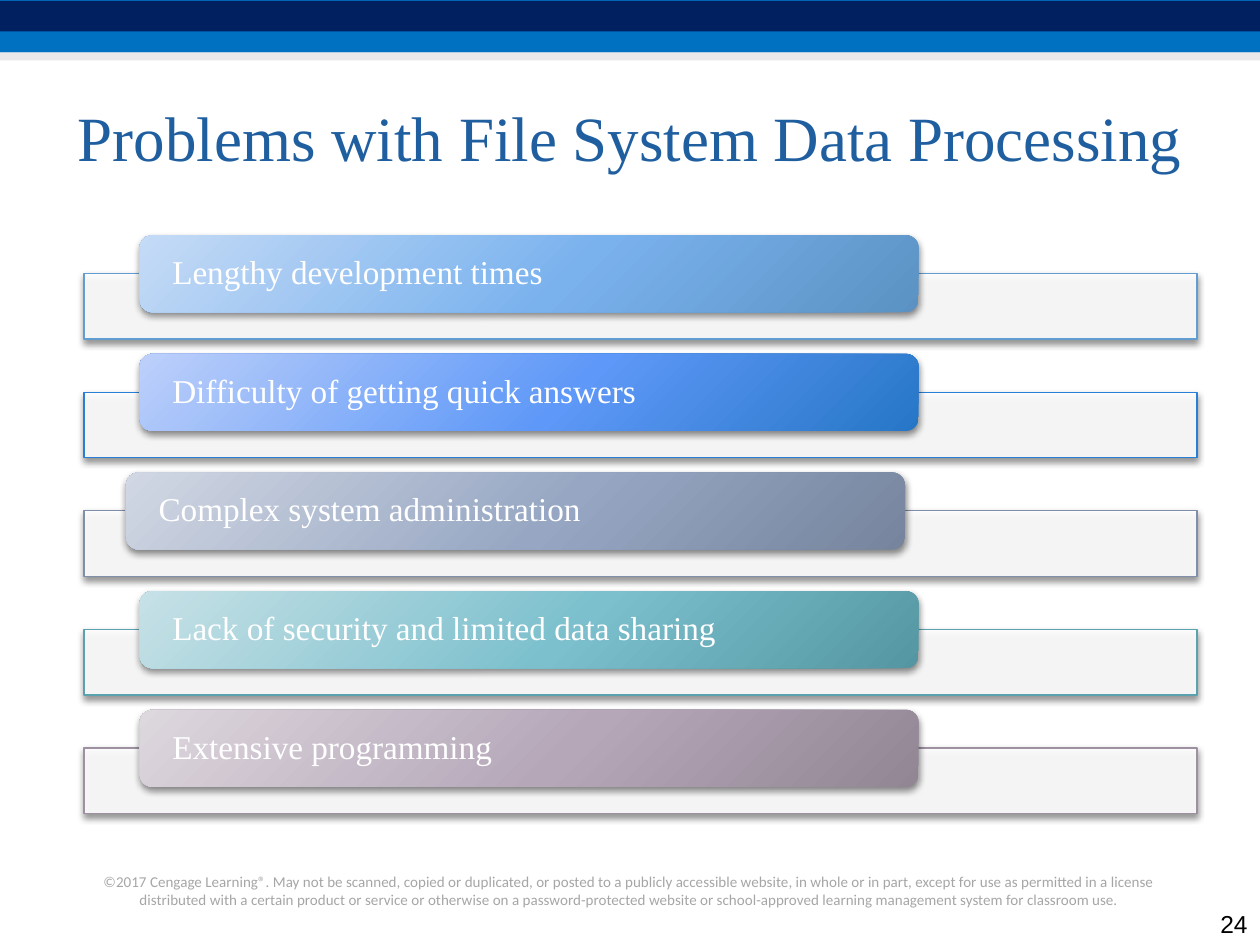
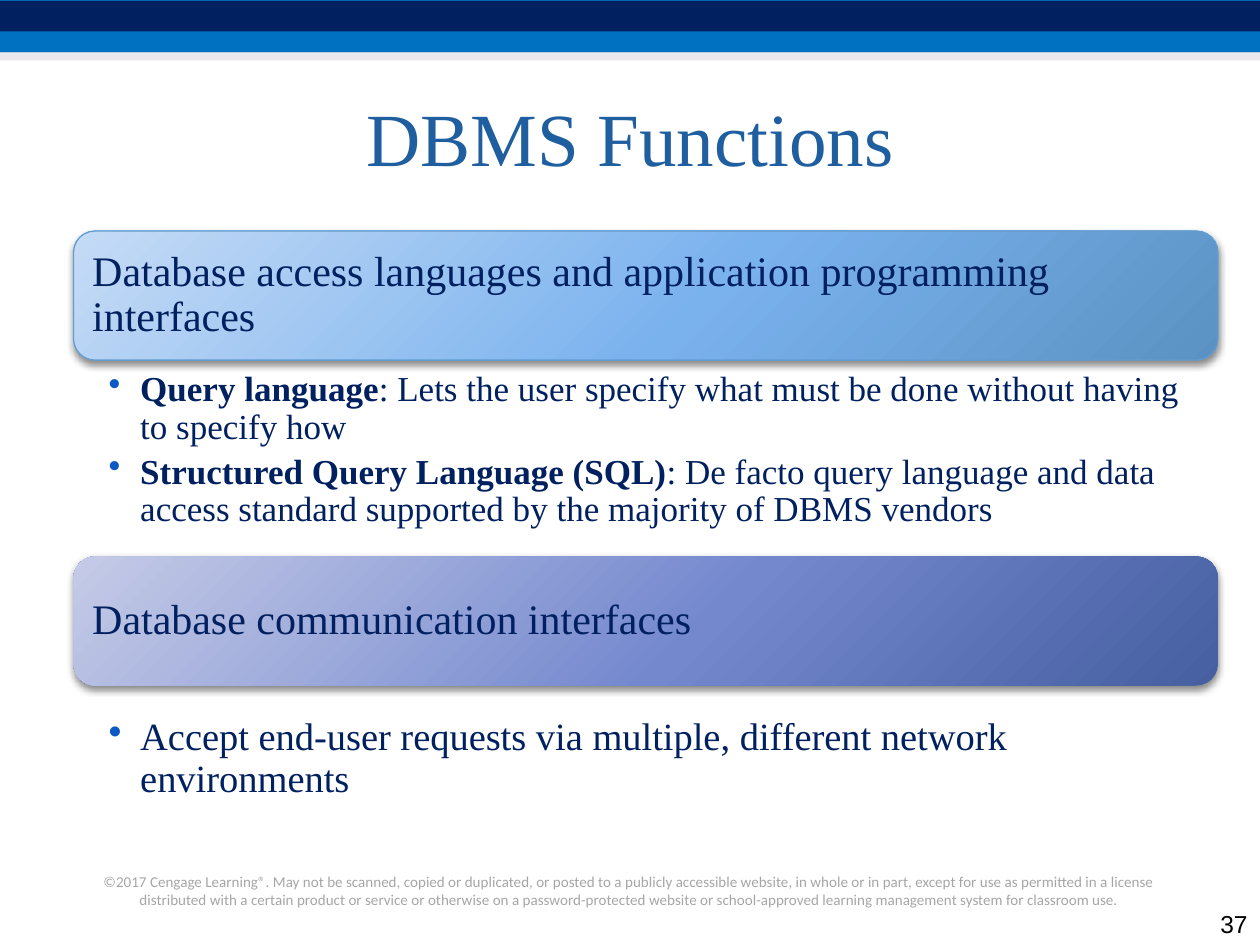
from pptx import Presentation
from pptx.dml.color import RGBColor
from pptx.enum.shapes import MSO_SHAPE
from pptx.enum.text import MSO_ANCHOR, PP_ALIGN
from pptx.oxml import parse_xml
from pptx.oxml.ns import nsdecls, qn
from pptx.util import Inches, Pt

COLORS = {
    "navy": "002060", "blue": "0070C0", "strip": "D8D3D9", "title": "1F5FA0",
    "bullet": "0E58C4", "footer": "A6A6A6", "white": "FFFFFF", "black": "000000",
    "sky edge": "629DD1", "azure edge": "297FD5", "slate edge": "7F8FA9",
    "teal edge": "5AA2AE", "mauve edge": "9D90A0",
}
GRADIENTS = {
    "sky": ("C5DBF6", "7AB2EE", "5B92C3"),
    "azure": ("BDD0FA", "5E98F8", "2676C6"),
    "slate": ("D1D7E3", "97A7C3", "76859D"),
    "teal": ("C7E1E7", "7CC0CD", "5497A2"),
    "mauve": ("DDD7DE", "B5A7B8", "928695"),
    "indigo": ("C5CBE7", "7488CE", "455FA0"),
}
SERIF = "Times New Roman"
COPYRIGHT = (
    "©2017 Cengage Learning®. May not be scanned, copied or duplicated, or posted to a "
    "publicly accessible website, in whole or in part, except for use as permitted in a "
    "license distributed with a certain product or service or otherwise on a "
    "password-protected website or school-approved learning management system for "
    "classroom use."
)

deck = Presentation()
deck.slide_width, deck.slide_height = Inches(10), Inches(7.5)
CELL = deck.slide_width / 120  # the slide is a grid of 120 columns by 90 rows


def write(holder, text, size, color, font=SERIF, align=PP_ALIGN.LEFT,
          anchor=MSO_ANCHOR.TOP, insets=(0.1, 0.05, 0.1, 0.05), spacing=None,
          after=0, bulleted=False):
    """Put text in a shape: one paragraph a line, **bold** between asterisks."""
    frame = holder.text_frame
    frame.word_wrap = True
    frame.vertical_anchor = anchor
    (frame.margin_left, frame.margin_top,
     frame.margin_right, frame.margin_bottom) = map(Inches, insets)
    for number, line in enumerate(text.split("\n")):
        paragraph = frame.add_paragraph() if number else frame.paragraphs[0]
        if bulleted:
            properties = paragraph._p.get_or_add_pPr()
            properties.set("marL", str(Inches(0.25)))
            properties.set("indent", str(-Inches(0.25)))
            properties.append(parse_xml(
                f'<a:buClr {nsdecls("a")}><a:srgbClr val="{COLORS["bullet"]}"/></a:buClr>'))
            properties.append(parse_xml(f'<a:buChar {nsdecls("a")} char="•"/>'))
        paragraph.alignment = align
        paragraph.line_spacing = spacing
        paragraph.space_after = Pt(after)
        for part, piece in enumerate(line.split("**")):
            if piece:
                run = paragraph.add_run()
                run.text = piece
                run.font.name = font
                run.font.size = Pt(size)
                run.font.bold = part % 2 == 1
                run.font.color.rgb = RGBColor.from_string(COLORS[color])


def add_panel(slide, kind, cells, fill, edge=None, opacity=100, shadow=True):
    """Add a shape placed in grid cells; fill names a gradient or a colour."""
    panel = slide.shapes.add_shape(kind, *(round(n * CELL) for n in cells))
    properties = panel._element.spPr
    if fill in GRADIENTS:
        panel.fill.background()
        stops = "".join(
            f'<a:gs pos="{share}000"><a:srgbClr val="{value}"/></a:gs>'
            for share, value in zip((0, 55, 100), GRADIENTS[fill]))
        properties.replace(properties.find(qn("a:noFill")), parse_xml(
            f'<a:gradFill {nsdecls("a")} rotWithShape="1"><a:gsLst>{stops}</a:gsLst>'
            '<a:path path="circle"><a:fillToRect l="-40000" t="-90000" '
            'r="140000" b="190000"/></a:path></a:gradFill>'))
    else:
        panel.fill.solid()
        panel.fill.fore_color.rgb = RGBColor.from_string(COLORS[fill])
        if opacity < 100:
            properties.find(qn("a:solidFill"))[0].append(
                parse_xml(f'<a:alpha {nsdecls("a")} val="{opacity}000"/>'))
    if edge:
        panel.line.color.rgb = RGBColor.from_string(COLORS[edge])
        panel.line.width = Pt(0.75)
    else:
        panel.line.fill.background()
    panel.shadow.inherit = False
    if shadow:
        properties.find(qn("a:effectLst")).append(parse_xml(
            f'<a:outerShdw {nsdecls("a")} blurRad="{Pt(4)}" dist="{Pt(2)}" '
            f'dir="5400000" rotWithShape="0"><a:srgbClr val="{COLORS["black"]}">'
            '<a:alpha val="45000"/></a:srgbClr></a:outerShdw>'))
    return panel


# Bands, footer, title and number on both slides
slides = []
for title, title_size, number in (
    ("Problems with File System Data Processing", 36, "24"),
    ("DBMS Functions", 42.9, "37"),
):
    slide = deck.slides.add_slide(deck.slide_layouts[6])
    slides.append(slide)
    for top, height, color, opacity in (
        (0, 5, "blue", 100), (0.1, 2.9, "navy", 100), (5, 0.75, "strip", 50),
    ):
        add_panel(slide, MSO_SHAPE.RECTANGLE, (0, top, 120, height), color,
                  opacity=opacity, shadow=False)
    for cells, text, look in (
        ((7, 82.5, 106, 4.7), COPYRIGHT,
         dict(size=8.6, color="footer", font="Calibri", align=PP_ALIGN.CENTER)),
        ((6, 6, 108, 14), title,
         dict(size=title_size, color="title", align=PP_ALIGN.CENTER,
              anchor=MSO_ANCHOR.MIDDLE)),
        ((114, 86, 6, 4), number,
         dict(size=14, color="black", font="Arial", align=PP_ALIGN.RIGHT,
              anchor=MSO_ANCHOR.BOTTOM)),
    ):
        write(slide.shapes.add_textbox(*(round(n * CELL) for n in cells)), text, **look)

problems_slide, functions_slide = slides

# Problems: a pale bar with a coloured label overlapping its top edge
problems = (
    ("Lengthy development times", "sky", 13.3),
    ("Difficulty of getting quick answers", "azure", 13.3),
    ("Complex system administration", "slate", 12),
    ("Lack of security and limited data sharing", "teal", 13.3),
    ("Extensive programming", "mauve", 13.3),
)
for row, (problem, hue, left) in enumerate(problems):
    bar_top = 26.05 + row * 11.3
    add_panel(problems_slide, MSO_SHAPE.RECTANGLE, (8, bar_top, 106, 6.25), "white",
              edge=f"{hue} edge", opacity=90)
    label = add_panel(problems_slide, MSO_SHAPE.ROUNDED_RECTANGLE,
                      (left, bar_top - 3.65, 74.2, 7.35), hue)
    write(label, problem, 19, "white", anchor=MSO_ANCHOR.MIDDLE,
          insets=(0.23, 0, 0.23, 0), spacing=0.9)

# Functions: a heading panel with its bullets below
functions = (
    ("Database access languages and application programming interfaces", "sky",
     "sky edge", 22, 35, 19, 20,
     "**Query language**: Lets the user specify what must be done without having "
     "to specify how\n"
     "**Structured Query Language (SQL)**: De facto query language and data access "
     "standard supported by the majority of DBMS vendors"),
    ("Database communication interfaces", "indigo", None, 53, 68, 10.9, 22,
     "Accept end-user requests via multiple, different network environments"),
)
for heading, hue, edge, top, details_top, details_height, size, details in functions:
    panel = add_panel(functions_slide, MSO_SHAPE.ROUNDED_RECTANGLE,
                      (7, top, 109, 12.3), hue, edge=edge)
    write(panel, heading, 24, "navy", anchor=MSO_ANCHOR.MIDDLE,
          insets=(0.1, 0.1, 0.1, 0.1), spacing=0.9)
    details_box = functions_slide.shapes.add_textbox(
        *(round(n * CELL) for n in (7, details_top, 109, details_height)))
    write(details_box, details, size, "navy", insets=(0.28, 0.03, 0.17, 0.03),
          spacing=0.9, after=4, bulleted=True)

deck.save("out.pptx")
